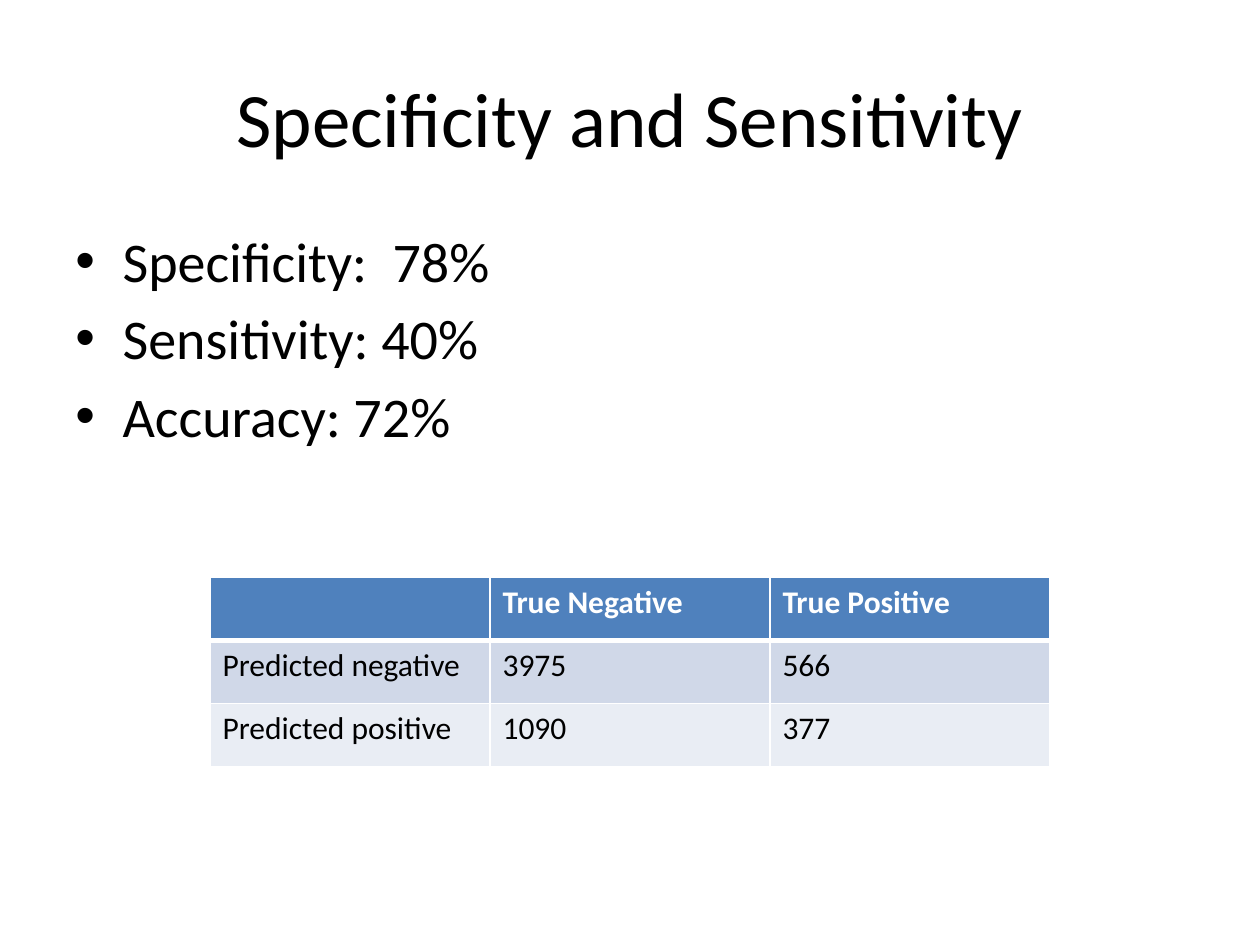
from dataclasses import dataclass

from lxml import etree
from pptx import Presentation
from pptx.dml.color import RGBColor
from pptx.enum.text import MSO_ANCHOR, PP_ALIGN
from pptx.oxml.ns import qn
from pptx.util import Pt

MIDDLE, TOP = MSO_ANCHOR.MIDDLE, MSO_ANCHOR.TOP
CENTER, LEFT = PP_ALIGN.CENTER, PP_ALIGN.LEFT
BLANK_LAYOUT = 6


@dataclass(frozen=True)
class Theme:
    font: str = "Calibri"
    text: str = "000000"
    white: str = "FFFFFF"
    header: str = "4F81BD"
    bands: tuple = ("D0D8E8", "E9EDF4")
    title_size: float = 44
    body_size: float = 32
    table_size: float = 18


class SlideBuilder:
    def __init__(self, presentation, theme):
        self.theme = theme
        self.slide = presentation.slides.add_slide(presentation.slide_layouts[BLANK_LAYOUT])

    def add_run(self, paragraph, text, size, color, bold=False):
        run = paragraph.add_run()
        run.text = text
        run.font.name = self.theme.font
        run.font.size = Pt(size)
        run.font.bold = bold
        run.font.color.rgb = RGBColor.from_string(color)

    def add_frame(self, left, top, width, height, anchor):
        shape = self.slide.shapes.add_textbox(Pt(left), Pt(top), Pt(width), Pt(height))
        frame = shape.text_frame
        frame.word_wrap = True
        frame.vertical_anchor = anchor
        return frame

    def add_title(self, text, left, top, width, height):
        paragraph = self.add_frame(left, top, width, height, MIDDLE).paragraphs[0]
        paragraph.alignment = CENTER
        self.add_run(paragraph, text, self.theme.title_size, self.theme.text)

    def add_bullets(self, items, left, top, width, height, indent=27, gap=5.7):
        frame = self.add_frame(left, top, width, height, TOP)
        for index, item in enumerate(items):
            paragraph = frame.add_paragraph() if index else frame.paragraphs[0]
            properties = paragraph._p.get_or_add_pPr()
            properties.set("marL", str(Pt(indent)))
            properties.set("indent", str(-Pt(indent)))
            etree.SubElement(properties, qn("a:buFont"), typeface="Arial")
            etree.SubElement(properties, qn("a:buChar"), char="•")
            paragraph.alignment = LEFT
            paragraph.space_before = Pt(gap if index else 0)
            self.add_run(paragraph, item, self.theme.body_size, self.theme.text)

    def set_borders(self, cell, top=1, bottom=1):
        """Draw white cell borders; widths are in points."""
        properties = cell._tc.get_or_add_tcPr()
        widths = {"lnL": 1, "lnR": 1, "lnT": top, "lnB": bottom}
        for position, (side, width) in enumerate(widths.items()):
            line = etree.Element(qn(f"a:{side}"), w=str(Pt(width)))
            fill = etree.SubElement(line, qn("a:solidFill"))
            etree.SubElement(fill, qn("a:srgbClr"), val=self.theme.white)
            properties.insert(position, line)

    def add_table(self, rows, left, top, width, row_height):
        theme = self.theme
        table = self.slide.shapes.add_table(
            len(rows), len(rows[0]), Pt(left), Pt(top), Pt(width), Pt(row_height * len(rows))
        ).table
        for row_index, row in enumerate(rows):
            is_header = row_index == 0
            fill = theme.header if is_header else theme.bands[(row_index - 1) % 2]
            color = theme.white if is_header else theme.text
            for column_index, text in enumerate(row):
                cell = table.cell(row_index, column_index)
                cell.fill.solid()
                cell.fill.fore_color.rgb = RGBColor.from_string(fill)
                self.set_borders(cell, top=3 if row_index == 1 else 1, bottom=3 if is_header else 1)
                if text:
                    paragraph = cell.text_frame.paragraphs[0]
                    self.add_run(paragraph, text, theme.table_size, color, is_header)


def main():
    presentation = Presentation()
    presentation.slide_width, presentation.slide_height = Pt(720), Pt(540)
    builder = SlideBuilder(presentation, Theme())
    builder.add_title("Specificity and Sensitivity", 36, 21.6, 648, 90)
    builder.add_bullets(
        ["Specificity:  78%", "Sensitivity: 40%", "Accuracy: 72%"], 36, 126, 648, 356.4
    )
    confusion_matrix = [
        ["", "True Negative", "True Positive"],
        ["Predicted negative", "3975", "566"],
        ["Predicted positive", "1090", "377"],
    ]
    builder.add_table(confusion_matrix, 120, 330, 480, 36)
    presentation.save("out.pptx")


if __name__ == "__main__":
    main()
